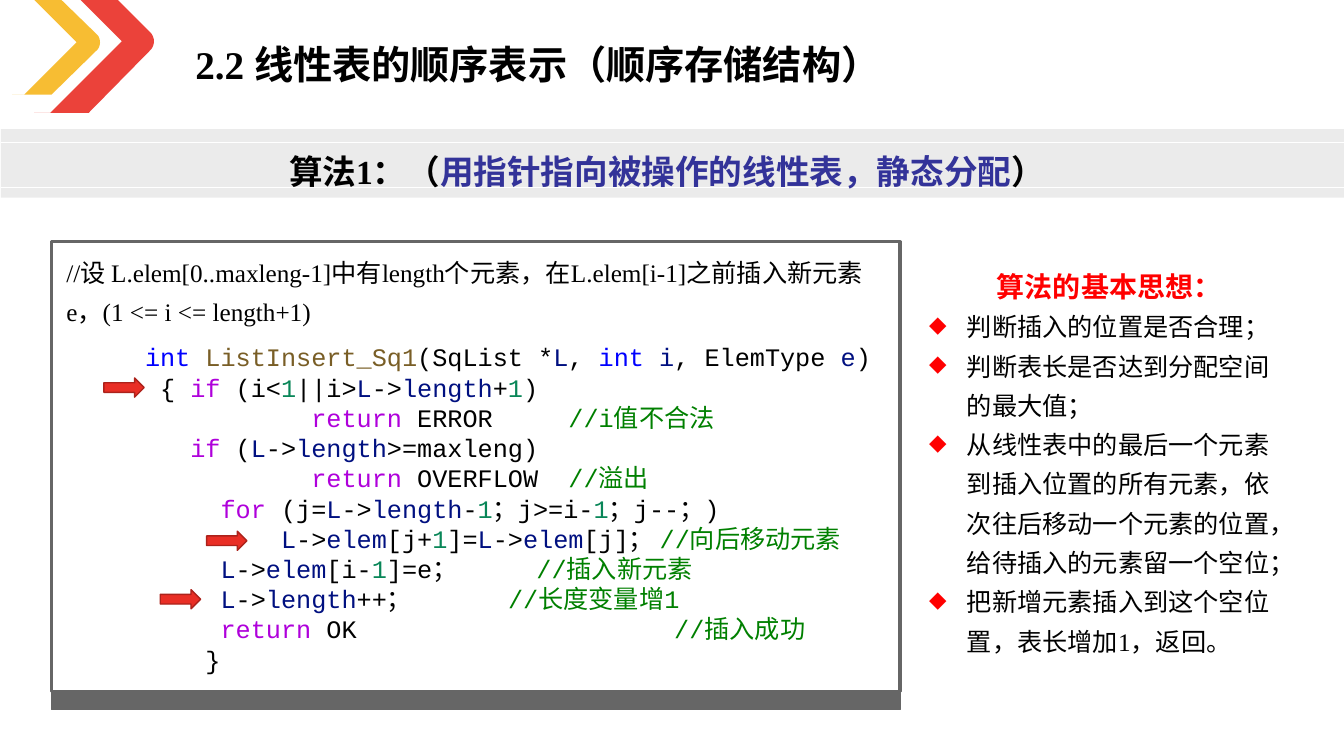
from itertools import groupby

from lxml.etree import SubElement
from pptx import Presentation
from pptx.dml.color import RGBColor
from pptx.enum.shapes import MSO_CONNECTOR, MSO_SHAPE
from pptx.enum.text import MSO_AUTO_SIZE as AutoSize, PP_ALIGN
from pptx.oxml.ns import qn
from pptx.util import Pt

COLORS = {
    "black": "000000", "white": "FFFFFF", "band": "404040", "frame": "666666",
    "red": "E92E25", "dark red": "AC221B", "yellow": "F7B61D",
    "heading": "FF0000", "indigo": "333399",
    "type": "0000FF", "function": "795E26", "variable": "001080",
    "keyword": "AF00DB", "number": "098658", "comment": "008000",
}
SERIF, MONO = "Times New Roman", "Courier New"

CODE = """\
int ListInsert_Sq1(SqList *L, int i, ElemType e)
 { if (i<1||i>L->length+1)
           return ERROR     //i值不合法
   if (L->length>=maxleng)
           return OVERFLOW  //溢出
     for (j=L->length-1；j>=i-1；j--；)  
         L->elem[j+1]=L->elem[j]； //向后移动元素
     L->elem[i-1]=e；              //插入新元素
     L->length++；                 //长度变量增1 
     return OK                     //插入成功
    }"""
WORD_KINDS = {
    "int": "type", "ListInsert_Sq1": "function", "if": "keyword",
    "for": "keyword", "return": "keyword", "L": "variable",
    "length": "variable", "elem": "variable", "1": "number",
}
PARAMETERS = {"i": "variable", "e": "variable"}
NO_BREAK_SPACE = chr(160)

IDEAS = [
    "判断插入的位置是否合理；",
    "判断表长是否达到分配空间的最大值；",
    "从线性表中的最后一个元素到插入位置的所有元素，"
    "依次往后移动一个元素的位置，给待插入的元素留一个空位；",
    "把新增元素插入到这个空位置，表长增加1，返回。",
]

# Chevron outlines in points; a four-pair entry is a Bézier curve
RED_CHEVRON = [
    (24.5, 80.6), (63.4, 80.6), (107.3, 36),
    ((107.3, 36), (110.9, 32.4), (110.9, 26.6), (107.3, 23)),
    (84.2, 0), (57.6, 0), (87.1, 29.5), (36, 80.6),
]
YELLOW_CHEVRON = [
    (8.6, 67.7), (36.7, 67.7), (69.8, 35.3),
    ((69.8, 35.3), (72, 32.4), (72, 28.1), (69.8, 25.2)),
    (43.9, 0), (24.5, 0), (54.7, 30.2), (17.3, 67.7),
]


def rgb(name):
    return RGBColor.from_string(COLORS[name])


def paint(shape, fill=None, line=None, width=1, opacity=100):
    shape.shadow.inherit = False
    if fill:
        shape.fill.solid()
        shape.fill.fore_color.rgb = rgb(fill)
        if opacity < 100:
            color = shape.fill._xPr.find(qn("a:solidFill"))[0]
            SubElement(color, qn("a:alpha"), val=str(opacity * 1000))
    else:
        shape.fill.background()
    if line:
        shape.line.color.rgb = rgb(line)
        shape.line.width = Pt(width)
    else:
        shape.line.fill.background()


def add_preset(slide, preset, box, **style):
    shape = slide.shapes.add_shape(preset, *map(Pt, box))
    paint(shape, **style)


def add_rule(slide, y):
    rule = slide.shapes.add_connector(
        MSO_CONNECTOR.STRAIGHT, Pt(0.7), Pt(y), Pt(960.7), Pt(y))
    rule.line.color.rgb = rgb("white")
    rule.line.width = Pt(0.5)
    SubElement(rule._element.spPr, qn("a:effectLst"))


def bezier_points(curve, steps=10):
    for step in range(1, steps + 1):
        t = step / steps
        weights = ((1 - t) ** 3, 3 * t * (1 - t) ** 2, 3 * t * t * (1 - t), t ** 3)
        yield tuple(sum(w * p[axis] for w, p in zip(weights, curve))
                    for axis in (0, 1))


def add_chevron(slide, outline, fill):
    points = []
    for part in outline:
        points.extend(bezier_points(part) if len(part) == 4 else [part])
    vertices = [(Pt(x), Pt(y)) for x, y in points]
    builder = slide.shapes.build_freeform(*vertices[0])
    builder.add_line_segments(vertices[1:], close=True)
    paint(builder.convert_to_shape(), fill=fill, opacity=90)


def add_text_box(slide, box):
    text_frame = slide.shapes.add_textbox(*map(Pt, box)).text_frame
    text_frame.word_wrap = True
    text_frame.auto_size = AutoSize.SHAPE_TO_FIT_TEXT
    return text_frame


def add_runs(paragraph, pieces, size, font=SERIF, bold=False):
    for text, color in pieces:
        run = paragraph.add_run()
        run.text = text
        run.font.name = font
        run.font.size = Pt(size)
        run.font.bold = bold
        run.font.color.rgb = rgb(color)


def add_line(slide, box, pieces, size, bold=True):
    paragraph = add_text_box(slide, box).paragraphs[0]
    paragraph.line_spacing = 1.3
    add_runs(paragraph, pieces, size, bold=bold)


def highlight(line, word_kinds):
    code, slashes, comment = line.partition("//")
    for _, letters in groupby(code, lambda c: c.isalnum() or c == "_"):
        word = "".join(letters)
        yield word.replace(" ", NO_BREAK_SPACE), word_kinds.get(word, "black")
    if slashes:
        yield (slashes + comment).replace(" ", NO_BREAK_SPACE), "comment"


def add_code(slide, box):
    text_frame = add_text_box(slide, box)
    for index, line in enumerate(CODE.split("\n")):
        paragraph = text_frame.add_paragraph() if index else text_frame.paragraphs[0]
        word_kinds = WORD_KINDS if index else {**WORD_KINDS, **PARAMETERS}
        add_runs(paragraph, highlight(line, word_kinds), 18, MONO)


def add_bullet(paragraph):
    properties = paragraph._p.get_or_add_pPr()
    properties.set("marL", str(Pt(27)))
    properties.set("indent", str(-Pt(27)))
    color = SubElement(properties, qn("a:buClr"))
    SubElement(color, qn("a:srgbClr"), val=COLORS["heading"])
    SubElement(properties, qn("a:buSzPct"), val="90000")
    SubElement(properties, qn("a:buChar"), char="◆")


def add_ideas(slide, box):
    text_frame = add_text_box(slide, box)
    heading = text_frame.paragraphs[0]
    heading.alignment = PP_ALIGN.CENTER
    heading.line_spacing = 1.3
    add_runs(heading, [("算法的基本思想：", "heading")], 20, bold=True)
    for idea in IDEAS:
        paragraph = text_frame.add_paragraph()
        paragraph.line_spacing = 1.3
        add_bullet(paragraph)
        add_runs(paragraph, [(idea, "black")], 18)


def main():
    presentation = Presentation()
    presentation.slide_width, presentation.slide_height = Pt(960), Pt(540)
    slide = presentation.slides.add_slide(presentation.slide_layouts[6])

    # Subtitle band and corner chevrons
    add_preset(slide, MSO_SHAPE.RECTANGLE, (0.7, 92.2, 960, 49),
               fill="band", opacity=10)
    for y in (101.5, 133.9):
        add_rule(slide, y)
    add_chevron(slide, RED_CHEVRON, "red")
    add_chevron(slide, YELLOW_CHEVRON, "yellow")

    # Task, subtitle and title
    add_line(slide, (40.3, 173.5, 598.3, 61.2), [
        ("//设 L.elem[0..maxleng-1]中有length个元素，"
         "在L.elem[i-1]之前插入新元素e，(1 <= i <= length+1)", "black"),
    ], 18, bold=False)
    add_line(slide, (199.4, 95.8, 593.3, 56.2), [
        ("算法1：（", "black"),
        ("用指针指向被操作的线性表，静态分配", "indigo"),
        ("）", "black"),
    ], 24)
    add_line(slide, (132.5, 15.1, 532, 46.8),
             [("2.2 线性表的顺序表示（顺序存储结构）", "black")], 28)

    # Code panel and key ideas
    add_preset(slide, MSO_SHAPE.RECTANGLE, (36.7, 493.2, 606.2, 13.7),
               fill="frame", line="frame", width=0.25)
    add_code(slide, (96.5, 240.5, 661.7, 247))
    add_ideas(slide, (656.6, 181.4, 271.4, 290.9))
    add_preset(slide, MSO_SHAPE.RECTANGLE, (36.7, 172.8, 606.2, 321.1),
               line="frame", width=2.25)

    # Arrows at the key steps
    for x, y in ((74.2, 270), (147.6, 379.4), (114.5, 421.2)):
        add_preset(slide, MSO_SHAPE.RIGHT_ARROW, (x, y, 28.8, 13.7),
                   fill="red", line="dark red")

    presentation.save("out.pptx")


if __name__ == "__main__":
    main()
